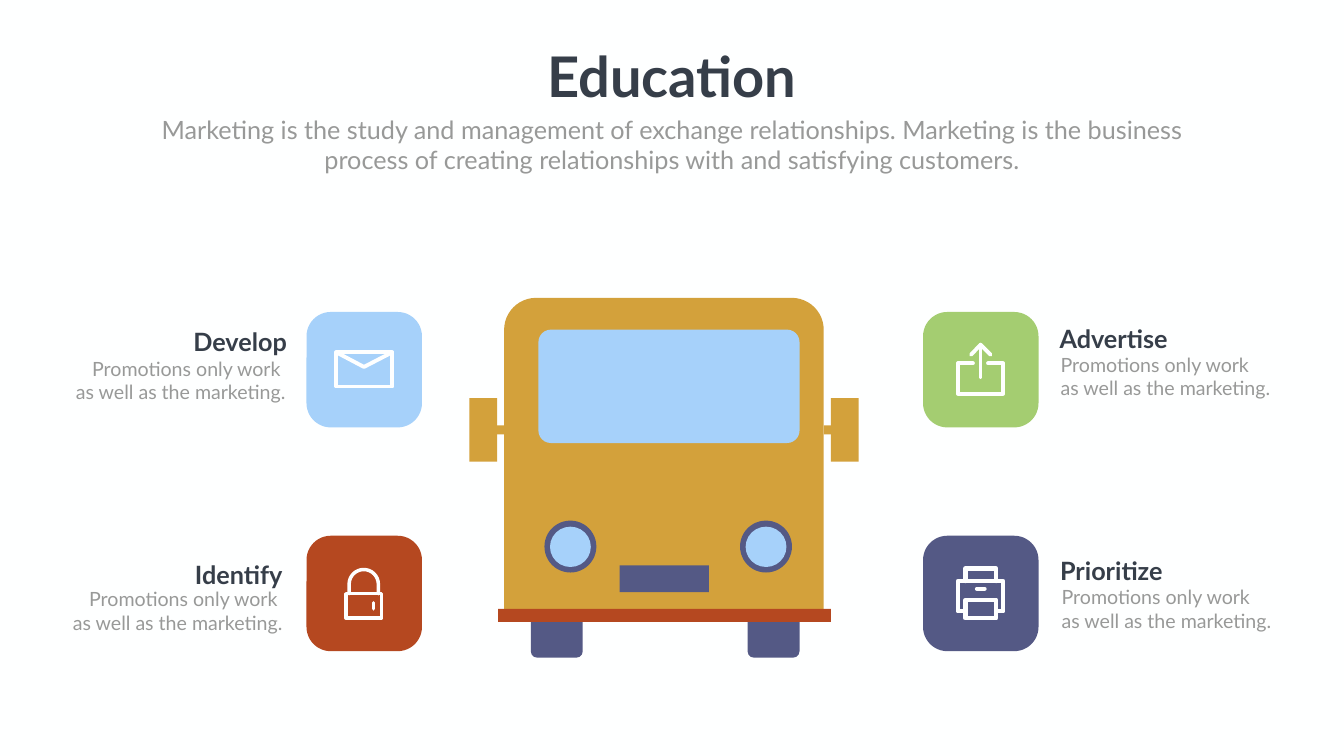
from math import cos, pi, sin
from lxml.etree import SubElement
from pptx import Presentation
from pptx.dml.color import RGBColor
from pptx.enum.shapes import MSO_CONNECTOR, MSO_SHAPE
from pptx.enum.text import MSO_AUTO_SIZE, PP_ALIGN
from pptx.oxml.ns import qn
from pptx.util import Inches, Pt

WHITE = RGBColor(0xFE, 0xFF, 0xFF)
INK = RGBColor(0x36, 0x3E, 0x49)
GREY = RGBColor(0x98, 0x99, 0x98)
GOLD = RGBColor(0xD3, 0xA1, 0x3B)
SKY = RGBColor(0xA6, 0xD1, 0xFA)
NAVY = RGBColor(0x54, 0x59, 0x85)
RUST = RGBColor(0xB5, 0x48, 0x20)
GREEN = RGBColor(0xA4, 0xCD, 0x71)

TITLE = {"name": "Lato", "size": Pt(80), "bold": True}
HEAD = {"name": "Lato", "size": Pt(36), "bold": True}
LEAD = {"name": "Lato", "size": Pt(36), "bold": False}
BODY = {"name": "Lato", "size": Pt(28), "bold": False}

RECT = MSO_SHAPE.RECTANGLE
ROUND = MSO_SHAPE.ROUNDED_RECTANGLE
ARCH = MSO_SHAPE.ROUND_2_SAME_RECTANGLE
OVAL = MSO_SHAPE.OVAL

SIDE = 2.29
ARC = [(1.135 - 0.29 * cos(pi * i / 16), 0.96 - 0.29 * sin(pi * i / 16))
       for i in range(17)]


def frame(left, top, right, low):
    return [(left, top), (right, top), (right, low), (left, low), (left, top)]


MAIL = (5.5, [frame(0.59, 0.8, 1.7, 1.48),
              [(0.59, 0.8), (1.14, 1.09), (1.7, 0.8)]])
SHARE = (5.5, [[(0.99, 1.02), (0.69, 1.02), (0.69, 1.62),
                (1.59, 1.62), (1.59, 1.02), (1.29, 1.02)],
               [(1.14, 0.65), (1.14, 1.29)],
               [(0.95, 0.85), (1.14, 0.65), (1.34, 0.85)]])
LOCK = (5, [frame(0.78, 1.15, 1.49, 1.63),
            [(0.845, 1.15), *ARC, (1.425, 1.15)],
            [(1.33, 1.33), (1.33, 1.45)]])
PRINT = (6, [[(0.84, 1.5), (0.69, 1.5), (0.69, 0.9),
              (1.59, 0.9), (1.59, 1.5), (1.45, 1.5)],
             [(0.84, 0.9), (0.84, 0.65), (1.45, 0.65), (1.45, 0.9)],
             frame(0.84, 1.27, 1.45, 1.64),
             [(1.07, 1.05), (1.22, 1.05)]])


def block(slide, kind, box, fill, curves=()):
    shape = slide.shapes.add_shape(kind, *map(Inches, box))
    shape.shadow.inherit = False
    shape.fill.solid()
    shape.fill.fore_color.rgb = fill
    shape.line.fill.background()
    for i, curve in enumerate(curves):
        shape.adjustments[i] = curve


def write(slide, box, lines, style, ink, align, wrap=True):
    area = slide.shapes.add_textbox(*map(Inches, box)).text_frame
    area.word_wrap = wrap
    area.auto_size = MSO_AUTO_SIZE.SHAPE_TO_FIT_TEXT
    for i, line in enumerate(lines):
        para = area.add_paragraph() if i else area.paragraphs[0]
        para.alignment = align
        run = para.add_run()
        run.text = line
        run.font.color.rgb = ink
        for name, value in style.items():
            setattr(run.font, name, value)


def trace(slide, x, y, points, width):
    spots = [(Inches(x + px), Inches(y + py)) for px, py in points]
    if len(spots) == 2:
        shape = slide.shapes.add_connector(
            MSO_CONNECTOR.STRAIGHT, *spots[0], *spots[1])
        SubElement(shape.line._get_or_add_ln().getparent(), qn("a:effectLst"))
    else:
        pen = slide.shapes.build_freeform(*spots[0])
        pen.add_line_segments(spots[1:], close=spots[0] == spots[-1])
        shape = pen.convert_to_shape()
        shape.shadow.inherit = False
        shape.fill.background()
    shape.line.color.rgb = WHITE
    shape.line.width = Pt(width)
    edge = shape.line._get_or_add_ln()
    edge.set("cap", "rnd")
    SubElement(edge, qn("a:round"))


def header(slide, x, y, width):
    write(slide, (x + (width - 5.24) / 2, y, 5.24, 1.45), ["Education"],
          TITLE, INK, PP_ALIGN.CENTER, False)
    write(slide, (x, y + 1.44, width, 1.31),
          ["Marketing is the study and management of exchange relationships. "
           "Marketing is the business process of creating relationships with "
           "and satisfying customers."], LEAD, GREY, PP_ALIGN.CENTER)


def bus(slide, x, y):
    parts = [(ARCH, 0.69, 0, 6.34, 6.34, GOLD, (0.1, 0)),
             (ROUND, 1.37, 0.63, 5.18, 2.25, SKY, (0.11,))]
    for left in (1.22, 5.52):
        parts.append((ARCH, left, 6.34, 1.03, 0.8, NAVY, (0, 0.16)))
    for left in (1.49, 5.37):
        parts.append((OVAL, left, 4.42, 1.03, 1.03, NAVY, ()))
        parts.append((OVAL, left + 0.11, 4.54, 0.81, 0.8, SKY, ()))
    parts += [(RECT, 0.57, 6.17, 6.6, 0.26, RUST, ()),
              (RECT, 2.98, 5.31, 1.77, 0.53, NAVY, ())]
    for arm, glass in ((0.28, 0), (7.03, 7.17)):
        parts.append((RECT, arm, 2.53, 0.41, 0.18, GOLD, ()))
        parts.append((RECT, glass, 1.99, 0.55, 1.26, GOLD, ()))
    for kind, left, top, width, height, fill, curves in parts:
        block(slide, kind, (x + left, y + top, width, height), fill, curves)


def topic(slide, x, y, fill, icon, name, lines, head, body, align):
    block(slide, ROUND, (x, y, SIDE, SIDE), fill, (0.21,))
    width, strokes = icon
    for points in strokes:
        trace(slide, x, y, points, width)
    write(slide, (x + head[0], y + head[1], 2.53, 0.69), [name],
          HEAD, INK, align)
    write(slide, (x + body[0], y + body[1], 4.38, 1.01), lines,
          BODY, GREY, align)


def main():
    deck = Presentation()
    deck.slide_width, deck.slide_height = Inches(26.66), Inches(15)
    slide = deck.slides.add_slide(deck.slide_layouts[6])
    slide.background.fill.solid()
    slide.background.fill.fore_color.rgb = WHITE
    header(slide, 2.68, 0.78, 21.3)
    bus(slide, 9.31, 5.91)
    near, far, high, low = 6.08, 18.31, 6.19, 10.63
    last = "as well as the marketing."
    left = ["Promotions only work ", last]
    right = ["Promotions only work", last]
    for row in (
        (near, high, SKY, MAIL, "Develop", left,
         (-2.82, 0.24), (-4.7, 0.84), PP_ALIGN.RIGHT),
        (near, low, RUST, LOCK, "Identify", left,
         (-2.91, 0.41), (-4.76, 0.97), PP_ALIGN.RIGHT),
        (far, high, GREEN, SHARE, "Advertise", right,
         (2.61, 0.17), (2.63, 0.76), PP_ALIGN.LEFT),
        (far, low, NAVY, PRINT, "Prioritize", right,
         (2.62, 0.33), (2.65, 0.93), PP_ALIGN.LEFT),
    ):
        topic(slide, *row)
    deck.save("out.pptx")


if __name__ == "__main__":
    main()
